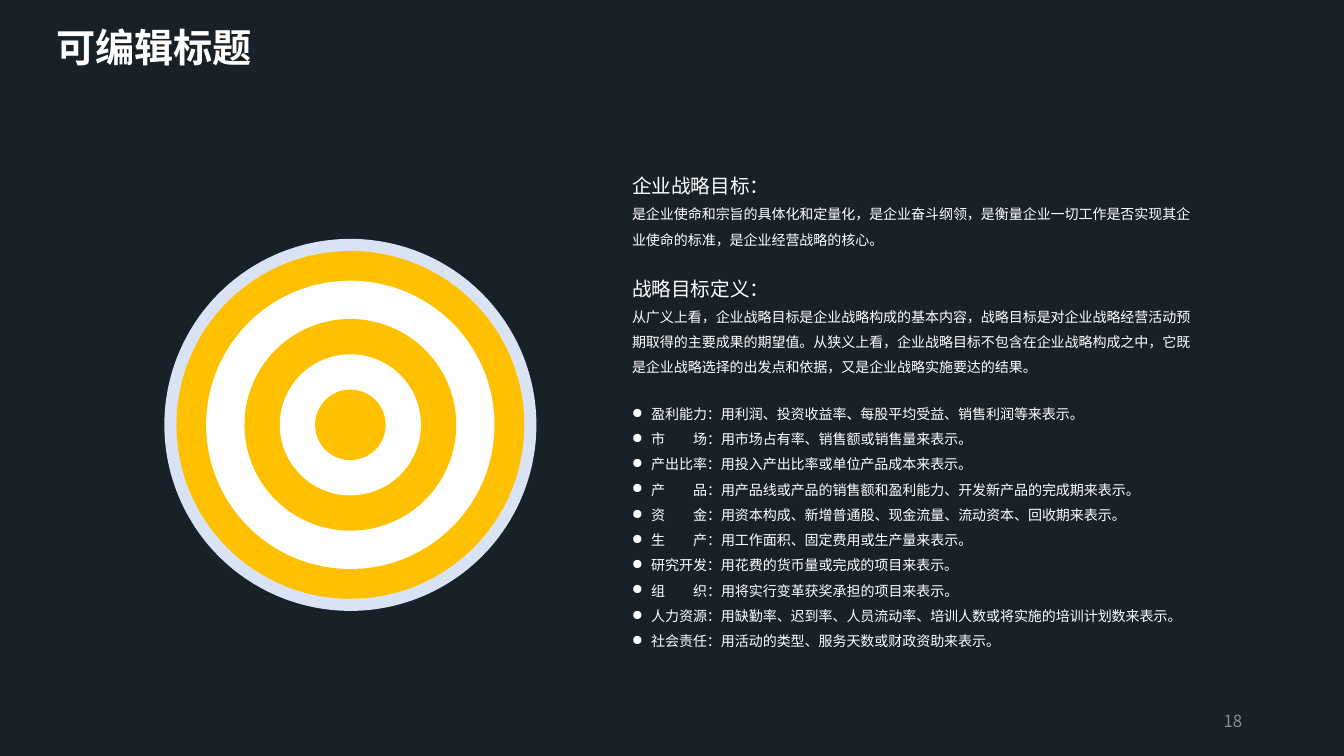
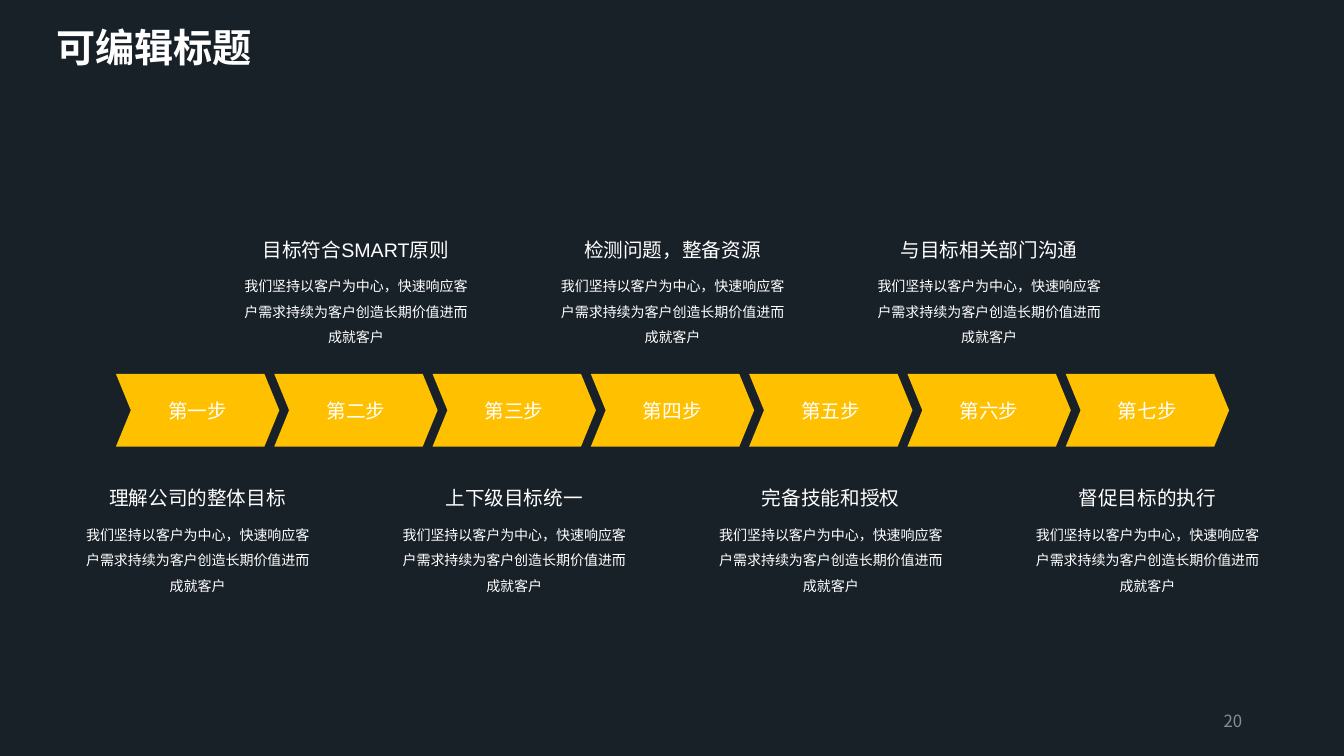
from lxml.etree import SubElement
from pptx import Presentation
from pptx.dml.color import RGBColor
from pptx.enum.shapes import MSO_SHAPE as Preset
from pptx.enum.text import MSO_ANCHOR as Anchor, MSO_AUTO_SIZE as AutoSize, PP_ALIGN as Align
from pptx.oxml.ns import qn
from pptx.util import Inches, Pt

NAVY = RGBColor(0x18, 0x20, 0x28)
GOLD = RGBColor(0xFF, 0xC0, 0x00)
WHITE = RGBColor(0xFF, 0xFF, 0xFF)
PALE_BLUE = RGBColor(0xDA, 0xE3, 0xF3)
GRAY = RGBColor(0x8C, 0x8C, 0x8C)
LATIN_FONT = "Arial"
CJK_FONT = "Noto Sans CJK SC"
HEADING_SIZE = 14
BODY_SIZE = 10
LABEL_CHARACTERS = 4

TITLE = "可编辑标题"
DEFINITIONS = [
    ("企业战略目标：",
     "是企业使命和宗旨的具体化和定量化，是企业奋斗纲领，是衡量企业一切工作是否实现其企业使命的标准，是企业经营战略的核心。"),
    ("战略目标定义：",
     "从广义上看，企业战略目标是企业战略构成的基本内容，战略目标是对企业战略经营活动预期取得的主要成果的期望值。"
     "从狭义上看，企业战略目标不包含在企业战略构成之中，它既是企业战略选择的出发点和依据，又是企业战略实施要达的结果。"),
]
MEASURES = [
    ("盈利能力", "用利润、投资收益率、每股平均受益、销售利润等来表示。"),
    ("市场", "用市场占有率、销售额或销售量来表示。"),
    ("产出比率", "用投入产出比率或单位产品成本来表示。"),
    ("产品", "用产品线或产品的销售额和盈利能力、开发新产品的完成期来表示。"),
    ("资金", "用资本构成、新增普通股、现金流量、流动资本、回收期来表示。"),
    ("生产", "用工作面积、固定费用或生产量来表示。"),
    ("研究开发", "用花费的货币量或完成的项目来表示。"),
    ("组织", "用将实行变革获奖承担的项目来表示。"),
    ("人力资源", "用缺勤率、迟到率、人员流动率、培训人数或将实施的培训计划数来表示。"),
    ("社会责任", "用活动的类型、服务天数或财政资助来表示。"),
]
RINGS = [(3.69, PALE_BLUE), (3.45, GOLD), (2.86, WHITE), (2.1, GOLD), (1.4, WHITE), (0.7, GOLD)]
STEPS = [
    ("第一步", "理解公司的整体目标"),
    ("第二步", "目标符合SMART原则"),
    ("第三步", "上下级目标统一"),
    ("第四步", "检测问题，整备资源"),
    ("第五步", "完备技能和授权"),
    ("第六步", "与目标相关部门沟通"),
    ("第七步", "督促目标的执行"),
]
STEP_DETAIL = "我们坚持以客户为中心，快速响应客户需求持续为客户创造长期价值进而成就客户"


def style_paragraph(paragraph, size, color=WHITE, bold=False, latin=LATIN_FONT,
                    align=Align.LEFT, line_spacing=None, after=0):
    paragraph.alignment = align
    paragraph.space_after = Pt(after)
    if line_spacing:
        paragraph.line_spacing = line_spacing
    font = paragraph.font
    font.size = Pt(size)
    font.bold = bold
    font.color.rgb = color
    font.name = latin
    properties = paragraph._p.get_or_add_pPr().find(qn("a:defRPr"))
    SubElement(properties, qn("a:ea"), typeface=CJK_FONT)


def add_text_frame(slide, left, top, width, height):
    box = slide.shapes.add_textbox(Inches(left), Inches(top), Inches(width), Inches(height))
    box.text_frame.word_wrap = True
    return box.text_frame


def add_paragraph(text_frame, text, size, **style):
    first = text_frame.paragraphs[0]
    paragraph = text_frame.add_paragraph() if first.runs else first
    paragraph.add_run().text = text
    style_paragraph(paragraph, size, **style)
    return paragraph


def add_filled_shape(slide, preset, left, top, width, height, color):
    shape = slide.shapes.add_shape(preset, Inches(left), Inches(top), Inches(width), Inches(height))
    shape.shadow.inherit = False
    shape.fill.solid()
    shape.fill.fore_color.rgb = color
    shape.line.fill.background()
    return shape


def set_bullet(paragraph, indent):
    properties = paragraph._p.get_or_add_pPr()
    properties.set("marL", str(Inches(indent)))
    properties.set("indent", str(-Inches(indent)))
    bullet = properties.makeelement(qn("a:buChar"), {"char": "●"})
    properties.find(qn("a:defRPr")).addprevious(bullet)


def add_base_slide(presentation, number):
    slide = presentation.slides.add_slide(presentation.slide_layouts[6])
    add_paragraph(add_text_frame(slide, 0.46, 0.18, 5.1, 0.57), TITLE, 28, bold=True)
    footer = add_text_frame(slide, 9.42, 6.95, 3, 0.4)
    footer.vertical_anchor = Anchor.MIDDLE
    add_paragraph(footer, str(number), 12, color=GRAY, latin=CJK_FONT, align=Align.RIGHT)
    return slide


def add_target(slide, left, top, size):
    for diameter, color in RINGS:
        inset = (size - diameter) / 2
        add_filled_shape(slide, Preset.OVAL, left + inset, top + inset, diameter, diameter, color)


def add_definitions(slide, left, top, width, height):
    text_frame = add_text_frame(slide, left, top, width, height)
    text_frame.auto_size = AutoSize.SHAPE_TO_FIT_TEXT
    for heading, body in DEFINITIONS:
        add_paragraph(text_frame, heading, HEADING_SIZE, latin=CJK_FONT, line_spacing=1.5)
        add_paragraph(text_frame, body, BODY_SIZE, latin=CJK_FONT, line_spacing=1.5, after=12)


def add_measures(slide, left, top, width, height):
    text_frame = add_text_frame(slide, left, top, width, height)
    text_frame.auto_size = AutoSize.SHAPE_TO_FIT_TEXT
    for label, description in MEASURES:
        paragraph = add_paragraph(text_frame, label[0], BODY_SIZE, line_spacing=1.5)
        set_bullet(paragraph, 0.19)
        gap = (LABEL_CHARACTERS - len(label)) * BODY_SIZE
        if gap:
            paragraph.runs[0]._r.get_or_add_rPr().set("spc", str(gap * 100))
        paragraph.add_run().text = f"{label[1:]}：{description}"


def add_step_arrow(slide, text, left, top, width, height):
    arrow = add_filled_shape(slide, Preset.CHEVRON, left, top, width, height, GOLD)
    arrow.adjustments[0] = 0.205
    arrow.text_frame.vertical_anchor = Anchor.MIDDLE
    add_paragraph(arrow.text_frame, text, HEADING_SIZE, align=Align.CENTER)


def add_step_caption(slide, heading, left, top, width, height):
    text_frame = add_text_frame(slide, left, top, width, height)
    text_frame.auto_size = AutoSize.SHAPE_TO_FIT_TEXT
    for text, size in ((heading, HEADING_SIZE), (STEP_DETAIL, BODY_SIZE)):
        add_paragraph(text_frame, text, size, align=Align.CENTER, line_spacing=1.5, after=6)


def add_process(slide, left, top):
    pitch, arrow_width, arrow_height = 1.57, 1.62, 0.72
    caption_width, caption_height = 2.41, 1.3
    for index, (step, heading) in enumerate(STEPS):
        arrow_left = left + index * pitch
        add_step_arrow(slide, step, arrow_left, top, arrow_width, arrow_height)
        caption_left = arrow_left + (arrow_width - caption_width) / 2
        caption_top = top - 1.52 if index % 2 else top + 0.95
        add_step_caption(slide, heading, caption_left, caption_top, caption_width, caption_height)


def build_goal_slide(presentation):
    slide = add_base_slide(presentation, 18)
    add_target(slide, 1.63, 2.37, 3.69)
    add_definitions(slide, 6.17, 1.56, 5.81, 2.24)
    add_measures(slide, 6.17, 3.89, 5.9, 2.6)


def build_process_slide(presentation):
    slide = add_base_slide(presentation, 20)
    add_process(slide, 1.15, 3.71)


def main():
    presentation = Presentation()
    presentation.slide_width = Inches(13.33)
    presentation.slide_height = Inches(7.5)
    background = presentation.slide_master.background.fill
    background.solid()
    background.fore_color.rgb = NAVY
    build_goal_slide(presentation)
    build_process_slide(presentation)
    presentation.save("out.pptx")


if __name__ == "__main__":
    main()
